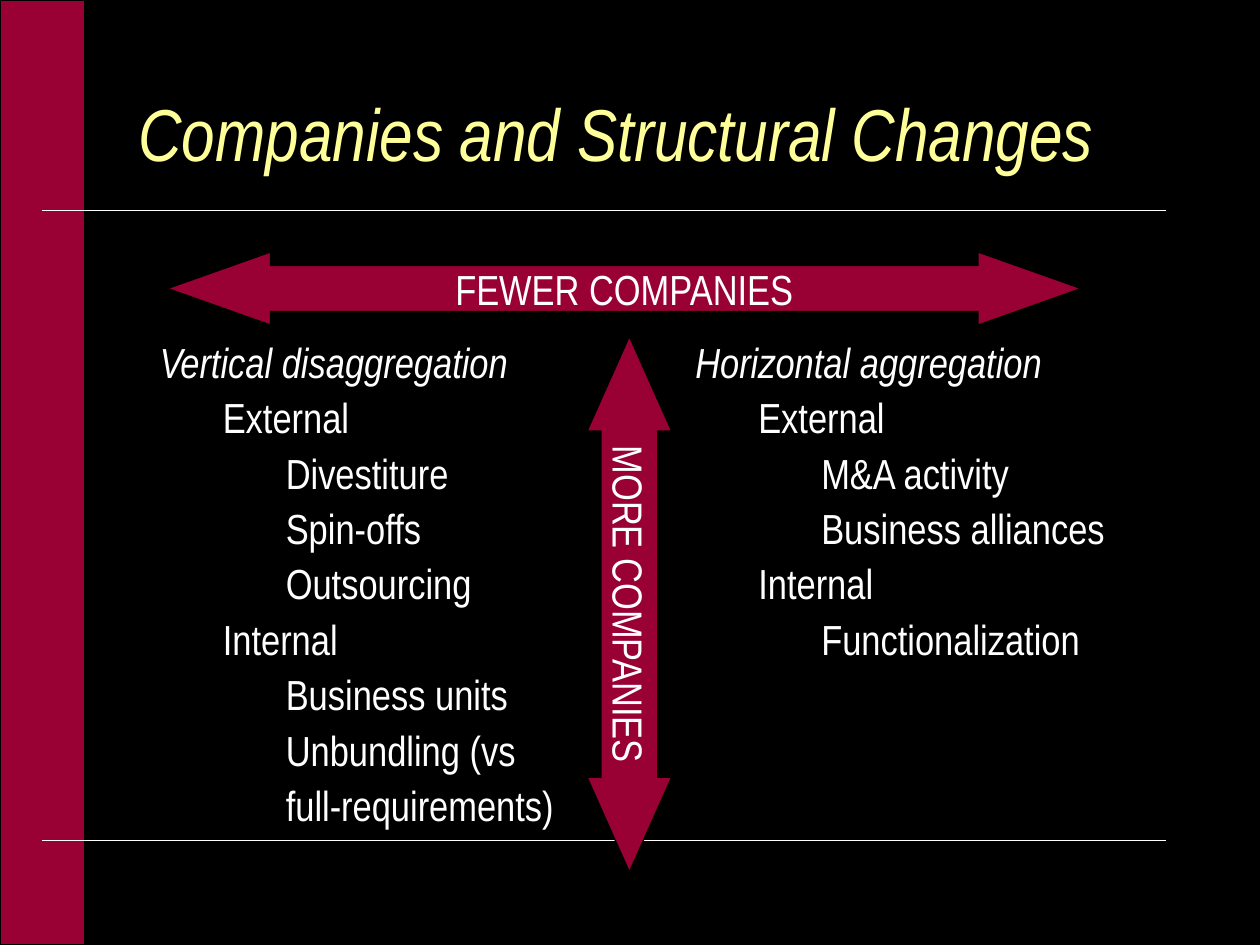
from pptx import Presentation
from pptx.dml.color import RGBColor
from pptx.enum.shapes import MSO_CONNECTOR, MSO_SHAPE
from pptx.enum.text import MSO_ANCHOR, PP_ALIGN
from pptx.oxml.ns import qn
from pptx.util import Inches, Pt
from lxml.etree import SubElement

COLORS = {"back": "000000", "band": "990033", "text": "FFFFFF", "title": "FFFF99"}


class Deck:
    font = "Arial Narrow"
    size = 24
    weight = 0.75

    def __init__(self, width, height):
        self.prs = Presentation()
        self.prs.slide_width = Inches(width)
        self.prs.slide_height = Inches(height)
        self.slide = self.prs.slides.add_slide(self.prs.slide_layouts[6])
        self.paint(self.slide.background.fill, "back")

    def paint(self, fill, color):
        fill.solid()
        fill.fore_color.rgb = RGBColor.from_string(COLORS[color])

    def label(self, para, text, color="text", size=None, italic=False):
        para.text = text
        font = para.font
        font.name = self.font
        font.size = Pt(size or self.size)
        font.italic = italic
        font.color.rgb = RGBColor.from_string(COLORS[color])

    def shape(self, kind, *box):
        shape = self.slide.shapes.add_shape(kind, *map(Inches, box))
        shape.shadow.inherit = False
        self.paint(shape.fill, "band")
        self.paint(shape.line.fill, "back")
        shape.line.width = Pt(self.weight)
        return shape

    def rule(self, left, right, top):
        ends = map(Inches, (left, top, right, top))
        line = self.slide.shapes.add_connector(MSO_CONNECTOR.STRAIGHT, *ends)
        self.paint(line.line.fill, "text")
        line.line.width = Pt(self.weight)
        SubElement(line._element.spPr, qn("a:effectLst"))

    def frame(self, *box):
        frame = self.slide.shapes.add_textbox(*map(Inches, box)).text_frame
        frame.word_wrap = True
        return frame

    def title(self, text, *box):
        frame = self.frame(*box)
        frame.vertical_anchor = MSO_ANCHOR.MIDDLE
        self.label(frame.paragraphs[0], text, "title", 42, True)

    def outline(self, items, *box):
        frame = self.frame(*box)
        for i, (level, text) in enumerate(items):
            para = frame.add_paragraph() if i else frame.paragraphs[0]
            para.level = level
            para.line_spacing = 1.1
            para._p.get_or_add_pPr().set("marL", str(Inches(level / 2)))
            self.label(para, text, italic=level == 0)

    def arrow(self, text, shaft, head, turn, *box):
        shape = self.shape(MSO_SHAPE.LEFT_RIGHT_ARROW, *box)
        shape.adjustments[0] = shaft
        shape.adjustments[1] = head
        shape.rotation = turn
        frame = shape.text_frame
        frame.word_wrap = False
        frame.vertical_anchor = MSO_ANCHOR.MIDDLE
        frame.paragraphs[0].alignment = PP_ALIGN.CENTER
        self.label(frame.paragraphs[0], text)


def main():
    deck = Deck(10, 7.5)

    # Side band and rules
    deck.shape(MSO_SHAPE.RECTANGLE, 0, 0, 0.67, 7.5)
    for top in (1.67, 6.67):
        deck.rule(0.33, 9.25, top)

    deck.title("Companies and Structural Changes", 1, 0.42, 8.5, 1.25)

    # Two outlines
    deck.outline([
        (0, "Vertical disaggregation"),
        (1, "External"),
        (2, "Divestiture"),
        (2, "Spin-offs"),
        (2, "Outsourcing"),
        (1, "Internal"),
        (2, "Business units"),
        (2, "Unbundling (vs\nfull-requirements)"),
    ], 1.17, 2.58, 4.17, 4.5)
    deck.outline([
        (0, "Horizontal aggregation"),
        (1, "External"),
        (2, "M&A activity"),
        (2, "Business alliances"),
        (1, "Internal"),
        (2, "Functionalization"),
    ], 5.42, 2.58, 4.17, 3.83)

    # Crossed arrows
    deck.arrow("FEWER COMPANIES", 0.63, 1.41, 0, 1.33, 2, 7.25, 0.58)
    deck.arrow("MORE COMPANIES", 0.67, 1.12, 90, 2.87, 4.46, 4.25, 0.67)

    deck.prs.save("out.pptx")


if __name__ == "__main__":
    main()
